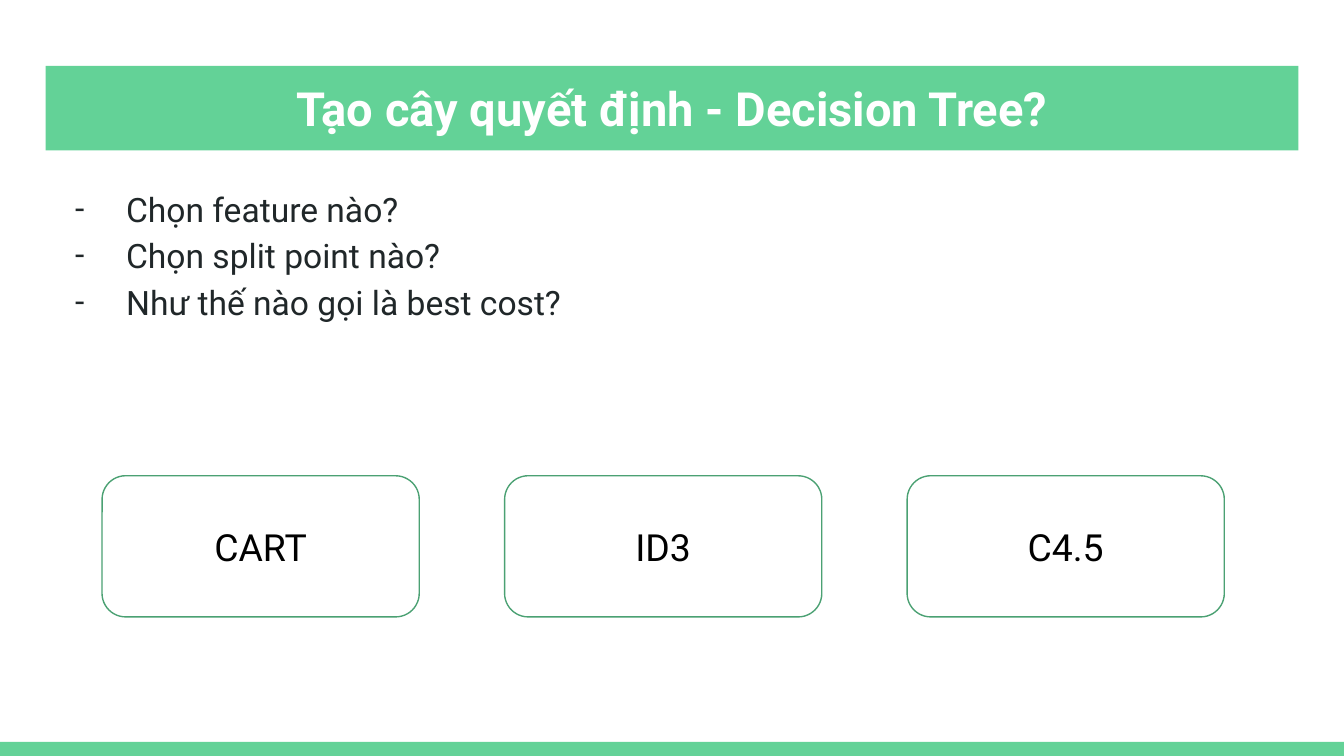
from pptx import Presentation
from pptx.dml.color import RGBColor
from pptx.enum.shapes import MSO_SHAPE
from pptx.enum.text import MSO_ANCHOR, PP_ALIGN
from pptx.util import Inches, Pt
from lxml.etree import SubElement
from pptx.oxml.ns import qn

TITLE = "Tạo cây quyết định - Decision Tree?"
ASKS = ["Chọn feature nào?", "Chọn split point nào?", "Như thế nào gọi là best cost?"]
TREES = ["CART", "ID3", "C4.5"]
HUES = {"green": "63D297", "edge": "4BA173", "ink": "202729",
        "black": "000000", "white": "FFFFFF"}
FONT = "Roboto"
LEFT, WIDE = 0.34, 9.32
FIRST, LAST = 0.76, 6.75


def hue(name):
    return RGBColor.from_string(HUES[name])


def paint(shape, fill):
    shape.fill.solid()
    shape.fill.fore_color.rgb = hue(fill)


def place(shape, *box):
    shape.left, shape.top, shape.width, shape.height = map(Inches, box)


def frame(shape, anchor):
    text = shape.text_frame
    text.word_wrap = True
    text.vertical_anchor = anchor
    text.margin_left = text.margin_right = Inches(0.1)
    text.margin_top = text.margin_bottom = Inches(0.1)
    return text


def style(para, size, color, align, bold=False):
    para.alignment = align
    font = para.font
    font.name, font.size, font.bold = FONT, Pt(size), bold
    font.color.rgb = hue(color)


def dash(para):
    props = para._p.get_or_add_pPr()
    props.set("marL", str(Inches(0.5)))
    props.set("indent", str(Inches(-0.38)))
    for tag, key, value in (("a:buFont", "typeface", FONT), ("a:buChar", "char", "-")):
        mark = SubElement(props, qn(tag))
        mark.set(key, value)
        props.insert_element_before(mark, "a:tabLst", "a:defRPr", "a:extLst")


def add_box(slide, kind, *box):
    shape = slide.shapes.add_shape(kind, *map(Inches, box))
    shape.shadow.inherit = False
    return shape


def main():
    deck = Presentation()
    deck.slide_width = Inches(10)
    deck.slide_height = deck.slide_width * 9 // 16
    slide = deck.slides.add_slide(deck.slide_layouts[5])

    foot = add_box(slide, MSO_SHAPE.RECTANGLE, 0, 5.52, 10, 0.11)
    paint(foot, "green")
    foot.line.fill.background()

    title = slide.shapes.title
    place(title, LEFT, 0.49, WIDE, 0.63)
    paint(title, "green")
    text = frame(title, MSO_ANCHOR.TOP)
    text.text = TITLE
    style(text.paragraphs[0], 25.2, "white", PP_ALIGN.CENTER, True)

    body = slide.shapes.add_textbox(*map(Inches, (LEFT, 1.26, WIDE, 1.42)))
    text = frame(body, MSO_ANCHOR.TOP)
    text.text = "\n".join(ASKS)
    for para in text.paragraphs:
        style(para, 18, "ink", PP_ALIGN.LEFT)
        para.line_spacing = 1.15
        dash(para)

    step = (LAST - FIRST) / (len(TREES) - 1)
    for i, name in enumerate(TREES):
        card = add_box(slide, MSO_SHAPE.ROUNDED_RECTANGLE, FIRST + i * step, 3.54, 2.36, 1.05)
        paint(card, "white")
        card.line.color.rgb = hue("edge")
        card.line.width = Pt(0.75)
        text = frame(card, MSO_ANCHOR.MIDDLE)
        text.text = name
        style(text.paragraphs[0], 20, "black", PP_ALIGN.CENTER)

    deck.save("out.pptx")


if __name__ == "__main__":
    main()
